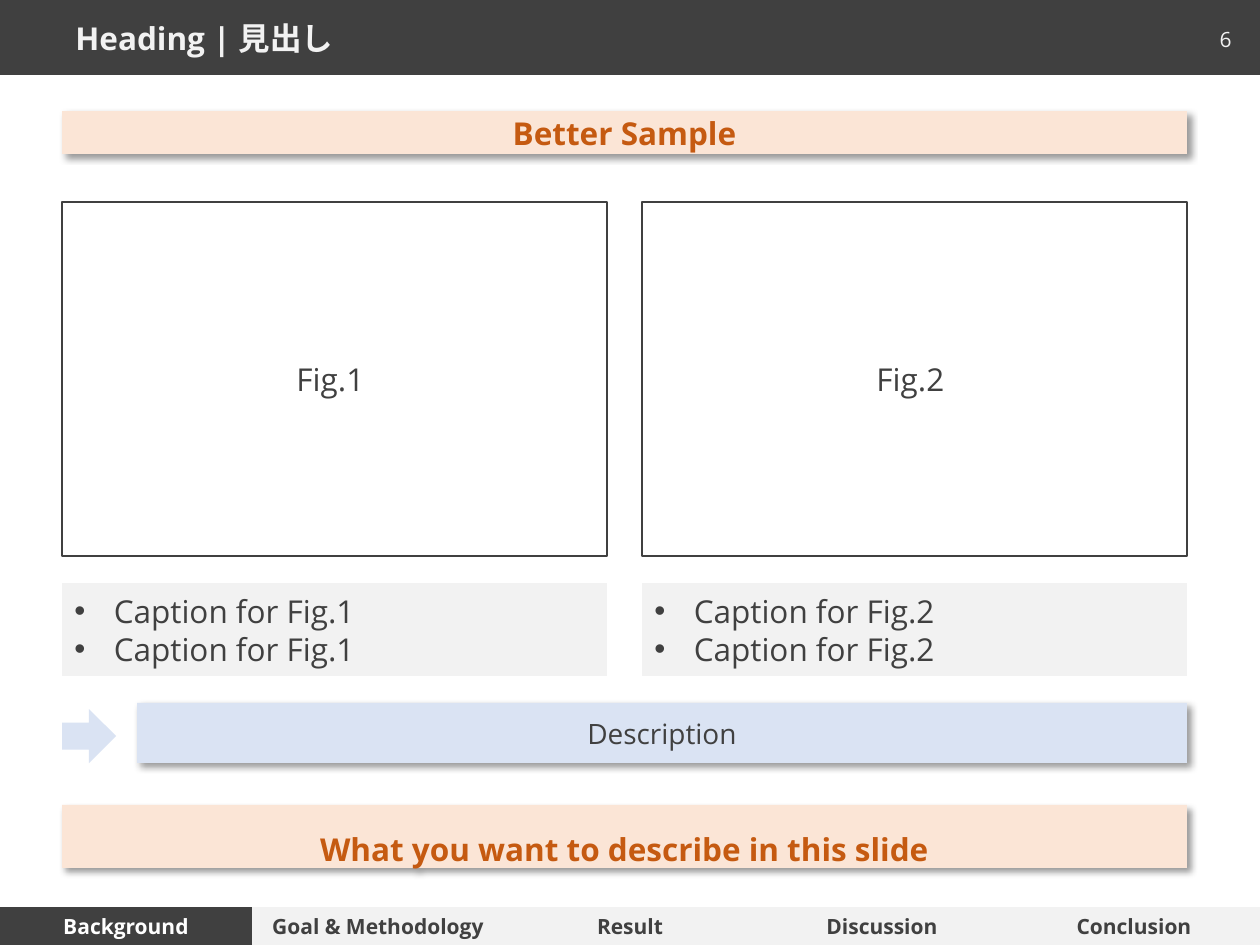
"""Build a two-figure comparison slide with a section bar at the foot."""
from lxml.etree import SubElement
from pptx import Presentation
from pptx.dml.color import RGBColor
from pptx.enum.shapes import MSO_SHAPE
from pptx.enum.text import MSO_ANCHOR, PP_ALIGN
from pptx.oxml import parse_xml
from pptx.oxml.ns import nsdecls, qn
from pptx.util import Emu, Pt

SCALE = 914400 / 126
THEME = {
    "font": "Open Sans", "dark": "404040", "pale": "F2F2F2", "white": "FFFFFF",
    "peach": "FBE5D6", "rust": "C55A11", "blue": "DAE3F3",
    "large": 18, "medium": 16, "small": 12, "line": 1.5,
}
PLAIN = "{2D5ABB26-0587-4C30-8999-92F81FD0307C}"
SHADOW = f"""<a:effectLst {nsdecls('a')}>
  <a:outerShdw blurRad="50800" dist="38100" dir="2700000" algn="tl" rotWithShape="0">
    <a:srgbClr val="000000"><a:alpha val="40000"/></a:srgbClr>
  </a:outerShdw>
</a:effectLst>"""


def write(frame, text, color, size="large", bold=False, align=PP_ALIGN.CENTER):
    frame.text = text
    frame.word_wrap = True
    for para in frame.paragraphs:
        para.alignment = align
        for run in para.runs:
            run.font.name = THEME["font"]
            run.font.size = Pt(THEME[size])
            run.font.bold = bold
            run.font.color.rgb = RGBColor.from_string(THEME[color])


def block(kind, area, fill=None, line=None, shadow=False):
    shape = slide.shapes.add_shape(kind, *[Emu(round(n * SCALE)) for n in area])
    shape.shadow.inherit = False
    if fill:
        shape.fill.solid()
        shape.fill.fore_color.rgb = RGBColor.from_string(THEME[fill])
    else:
        shape.fill.background()
    if line:
        shape.line.color.rgb = RGBColor.from_string(THEME[line])
        shape.line.width = Pt(THEME["line"])
    else:
        shape.line.fill.background()
    if shadow:
        props = shape._element.spPr
        props.replace(props.find(qn("a:effectLst")), parse_xml(SHADOW))
    return shape


deck = Presentation()
deck.slide_width = Emu(round(1260 * SCALE))
deck.slide_height = Emu(round(945 * SCALE))
slide = deck.slides.add_slide(deck.slide_layouts[6])
RECT = MSO_SHAPE.RECTANGLE

head = block(RECT, (0, 0, 1260, 75), "dark")
write(head.text_frame, "Heading | 見出し", "pale", bold=True, align=PP_ALIGN.LEFT)
head.text_frame.paragraphs[0]._p.get_or_add_pPr().set("marL", str(round(63 * SCALE)))

area = [Emu(round(n * SCALE)) for n in (960, 14, 284, 50)]
number = slide.shapes.add_textbox(*area).text_frame
write(number, "6", "pale", "small", align=PP_ALIGN.RIGHT)
number.vertical_anchor = MSO_ANCHOR.MIDDLE

title = block(RECT, (62, 111, 1125, 43), "peach", shadow=True)
write(title.text_frame, "Better Sample", "rust", bold=True)

for index, left in enumerate((62, 642), 1):
    figure = block(RECT, (left, 202, 545, 354), line="dark")
    write(figure.text_frame, f"Fig.{index} ", "dark")
    note = block(RECT, (left, 583, 545, 93), "pale")
    text = f"Caption for Fig.{index}"
    write(note.text_frame, f"{text}\n{text}", "dark", align=PP_ALIGN.LEFT)
    for para in note.text_frame.paragraphs:
        props = para._p.get_or_add_pPr()
        props.set("marL", "285750")
        props.set("indent", "-285750")
        SubElement(props, qn("a:buFont")).set("typeface", "Arial")
        SubElement(props, qn("a:buChar")).set("char", "•")

block(MSO_SHAPE.RIGHT_ARROW, (62, 709, 54, 54), "blue")
detail = block(RECT, (137, 703, 1050, 60), "blue", shadow=True)
write(detail.text_frame, "Description", "dark", "medium")

point = block(RECT, (62, 805, 1125, 63), "peach", shadow=True)
write(point.text_frame, "What you want to describe in this slide", "rust", bold=True)
point.text_frame.vertical_anchor = MSO_ANCHOR.TOP
point.text_frame.paragraphs[0].line_spacing = 1.5

steps = ["Background", "Goal & Methodology", "Result", "Discussion", "Conclusion"]
area = [Emu(round(n * SCALE)) for n in (0, 907, 1260, 38)]
table = slide.shapes.add_table(1, len(steps), *area).table
table._tbl.tblPr.find(qn("a:tableStyleId")).text = PLAIN
table.first_row = table.horz_banding = False
for index, step in enumerate(steps):
    cell = table.cell(0, index)
    fill, color = ("pale", "dark") if index else ("dark", "white")
    cell.fill.solid()
    cell.fill.fore_color.rgb = RGBColor.from_string(THEME[fill])
    cell.margin_top = cell.margin_bottom = 0
    cell.vertical_anchor = MSO_ANCHOR.MIDDLE
    write(cell.text_frame, step, color, "small", bold=True)

deck.save("out.pptx")
